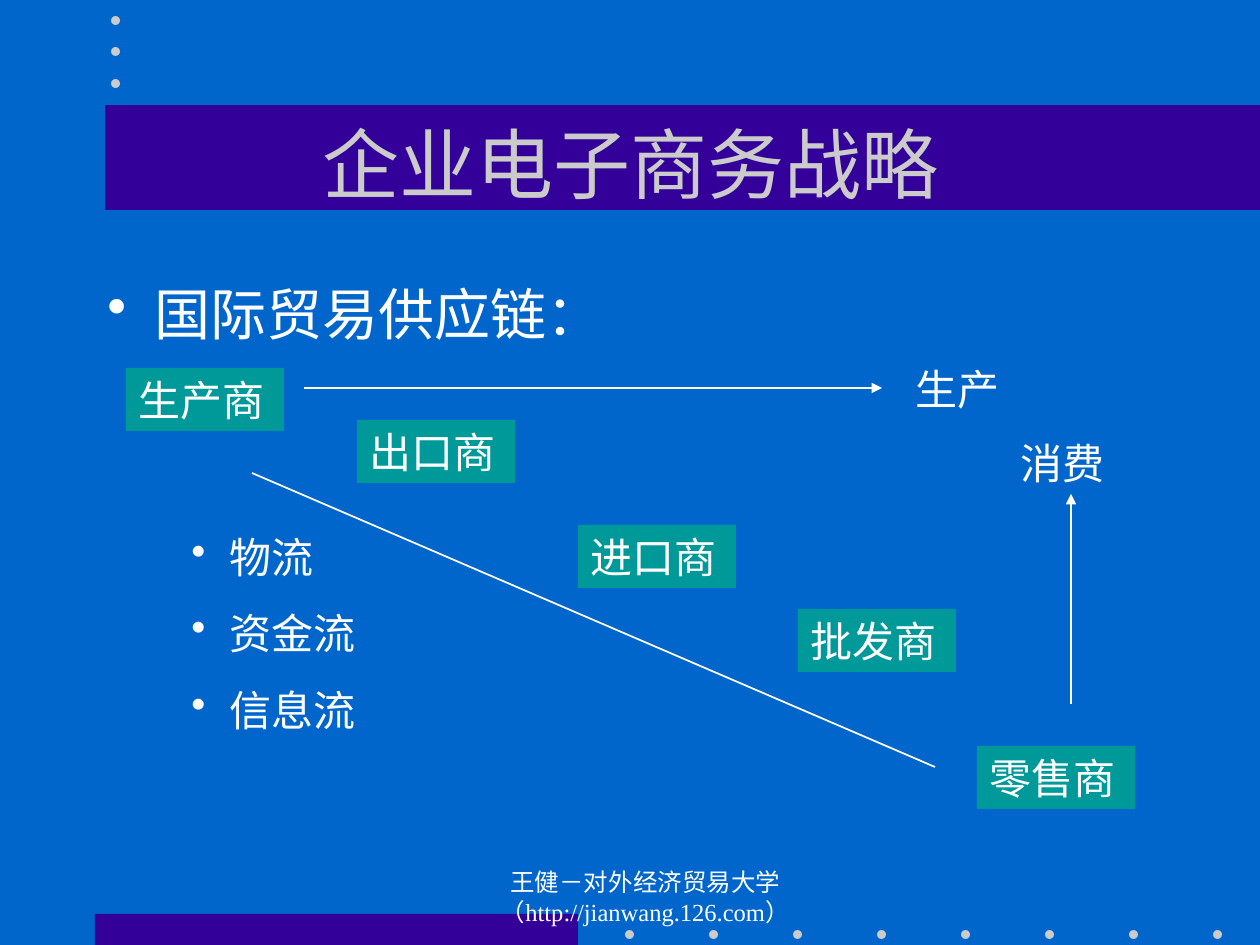
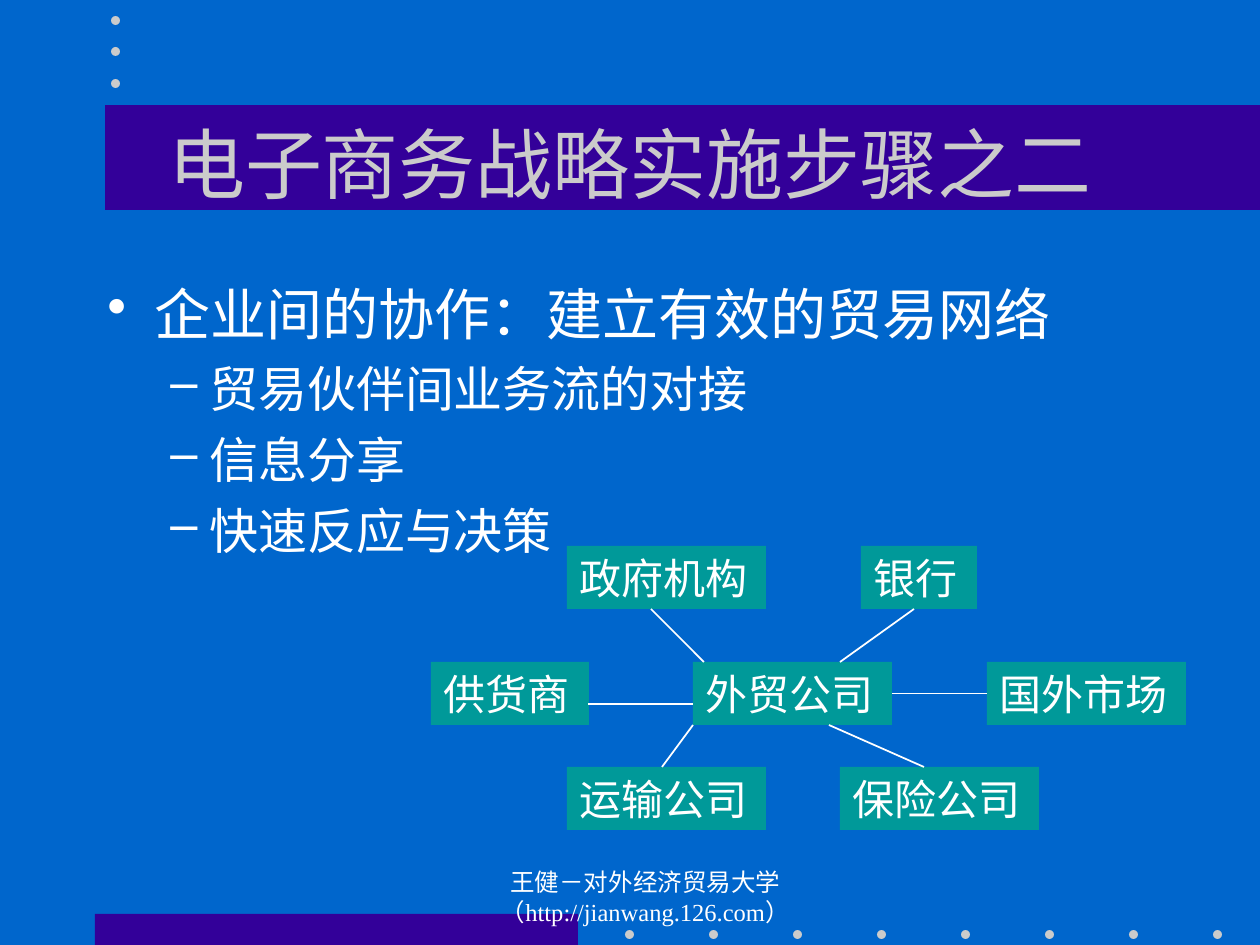
from lxml import etree
from pptx import Presentation
from pptx.dml.color import RGBColor
from pptx.enum.shapes import MSO_CONNECTOR, MSO_SHAPE
from pptx.enum.text import MSO_ANCHOR, PP_ALIGN
from pptx.oxml.ns import qn
from pptx.util import Emu, Pt

EMU_PER_PX = 914400 / 126
BLUE = RGBColor(0x00, 0x66, 0xCC)
PURPLE = RGBColor(0x33, 0x00, 0x99)
TEAL = RGBColor(0x00, 0x99, 0x99)
SILVER = RGBColor(0xCB, 0xCB, 0xCB)
WHITE = RGBColor(0xFF, 0xFF, 0xFF)
FONT = "Times New Roman"
FOOTER = "王健－对外经济贸易大学（http://jianwang.126.com）"
DOT_SIZE = 9
BOX_HEIGHT = 63
LEFT, RIGHT = 1, 3


def px(length):
    return Emu(round(length * EMU_PER_PX))


def style_runs(paragraph, size, color=WHITE):
    for run in paragraph.runs:
        run.font.name = FONT
        run.font.size = Pt(size)
        run.font.color.rgb = color


def set_indent(paragraph, margin, first_line=0):
    properties = paragraph._p.get_or_add_pPr()
    properties.set("marL", str(px(margin)))
    properties.set("indent", str(px(first_line)))
    return properties


def set_bullet(paragraph, character, margin, hanging):
    properties = set_indent(paragraph, margin, -hanging)
    etree.SubElement(properties, qn("a:buChar")).set("char", character)


def add_plain_shape(slide, kind, left, top, width, height, color):
    shape = slide.shapes.add_shape(kind, px(left), px(top), px(width), px(height))
    shape.shadow.inherit = False
    shape.fill.solid()
    shape.fill.fore_color.rgb = color
    shape.line.fill.background()
    return shape


def add_dot(slide, left, top):
    add_plain_shape(slide, MSO_SHAPE.OVAL, left, top, DOT_SIZE, DOT_SIZE, SILVER)


def add_text(slide, text, left, top, width, height, size=24, color=WHITE):
    box = slide.shapes.add_textbox(px(left), px(top), px(width), px(height))
    box.text_frame.word_wrap = True
    box.text_frame.text = text
    for paragraph in box.text_frame.paragraphs:
        style_runs(paragraph, size, color)
    return box


def add_party(slide, name, left, top, width):
    """Teal box naming one party of the trade."""
    box = add_plain_shape(slide, MSO_SHAPE.RECTANGLE, left, top, width, BOX_HEIGHT, TEAL)
    frame = box.text_frame
    frame.word_wrap = True
    frame.vertical_anchor = MSO_ANCHOR.TOP
    frame.text = name
    frame.paragraphs[0].alignment = PP_ALIGN.LEFT
    style_runs(frame.paragraphs[0], 24)
    return box


def add_line(slide, start_x, start_y, end_x, end_y, arrow=False):
    line = slide.shapes.add_connector(
        MSO_CONNECTOR.STRAIGHT, px(start_x), px(start_y), px(end_x), px(end_y))
    line.line.color.rgb = WHITE
    line.line.width = Pt(1)
    if arrow:
        etree.SubElement(line.line._get_or_add_ln(), qn("a:tailEnd")).set("type", "triangle")
    etree.SubElement(line._element.spPr, qn("a:effectLst"))
    return line


def add_body(slide, heading, points=()):
    box = add_text(slide, "\n".join([heading, *points]), 95, 273, 1071, 567, 28)
    first, *others = box.text_frame.paragraphs
    set_bullet(first, "•", 47, 47)
    style_runs(first, 32)
    for paragraph in others:
        paragraph.space_before = Pt(7)
        set_bullet(paragraph, "–", 102, 39)


def add_flow_list(slide, flows):
    box = add_text(slide, "\n".join(flows), 179, 525, 305, 217)
    for number, paragraph in enumerate(box.text_frame.paragraphs):
        if number:
            paragraph.space_before = Pt(15)
        set_bullet(paragraph, "•", 38, 38)


def add_base_slide(presentation, title):
    """Blank slide with background, bands, dots, title and footer."""
    slide = presentation.slides.add_slide(presentation.slide_layouts[6])
    slide.background.fill.solid()
    slide.background.fill.fore_color.rgb = BLUE
    add_plain_shape(slide, MSO_SHAPE.RECTANGLE, 95, 914, 483, 31, PURPLE)
    add_plain_shape(slide, MSO_SHAPE.RECTANGLE, 105, 105, 1155, 105, PURPLE)
    for column in range(8):
        add_dot(slide, 625 + 84 * column, 930)
    for row in range(3):
        add_dot(slide, 111, 16 + 63 * row // 2)

    title_box = add_text(slide, title, 95, 84, 1071, 158, 44, SILVER)
    title_box.text_frame.vertical_anchor = MSO_ANCHOR.MIDDLE
    title_box.text_frame.paragraphs[0].alignment = PP_ALIGN.CENTER

    footer = add_text(slide, FOOTER, 431, 861, 399, 63, 14).text_frame.paragraphs[0]
    footer.alignment = PP_ALIGN.CENTER
    set_indent(footer, 30)
    return slide


def build_supply_chain(presentation):
    slide = add_base_slide(presentation, "企业电子商务战略")
    add_body(slide, "国际贸易供应链：")
    for name, left, top in [
        ("生产商", 126, 368),
        ("出口商", 357, 420),
        ("进口商", 578, 525),
        ("批发商", 798, 609),
        ("零售商", 977, 746),
    ]:
        add_party(slide, name, left, top, 158)
    add_line(slide, 304, 388, 882, 388, arrow=True)
    add_text(slide, "生产", 903, 357, 147, BOX_HEIGHT)
    add_line(slide, 1071, 704, 1071, 494, arrow=True)
    add_text(slide, "消费", 1008, 431, 126, BOX_HEIGHT)
    add_flow_list(slide, ["物流", "资金流", "信息流"])
    add_line(slide, 252, 473, 935, 767)


def build_trade_network(presentation):
    slide = add_base_slide(presentation, "电子商务战略实施步骤之二")
    add_body(slide, "企业间的协作：建立有效的贸易网络",
             ["贸易伙伴间业务流的对接", "信息分享", "快速反应与决策"])
    upper, middle, lower = 546, 662, 767
    trader = add_party(slide, "外贸公司", 693, middle, 199)
    add_party(slide, "供货商", 431, middle, 158)
    foreign_market = add_party(slide, "国外市场", 987, middle, 199)
    add_party(slide, "政府机构", 567, upper, 199)
    add_party(slide, "银行", 861, upper, 116)
    add_party(slide, "运输公司", 567, lower, 199)
    add_party(slide, "保险公司", 840, lower, 199)

    upper_bottom, middle_bottom = upper + BOX_HEIGHT, middle + BOX_HEIGHT
    for ends in [
        (651, upper_bottom, 704, middle),
        (914, upper_bottom, 840, middle),
        (588, 704, 693, 704),
        (693, middle_bottom, 662, lower),
        (829, middle_bottom, 924, lower),
    ]:
        add_line(slide, *ends)
    market_link = add_line(slide, 892, 693, 987, 693)
    market_link.begin_connect(trader, RIGHT)
    market_link.end_connect(foreign_market, LEFT)


def main():
    presentation = Presentation()
    presentation.slide_width = px(1260)
    presentation.slide_height = px(945)
    build_supply_chain(presentation)
    build_trade_network(presentation)
    presentation.save("out.pptx")


if __name__ == "__main__":
    main()
